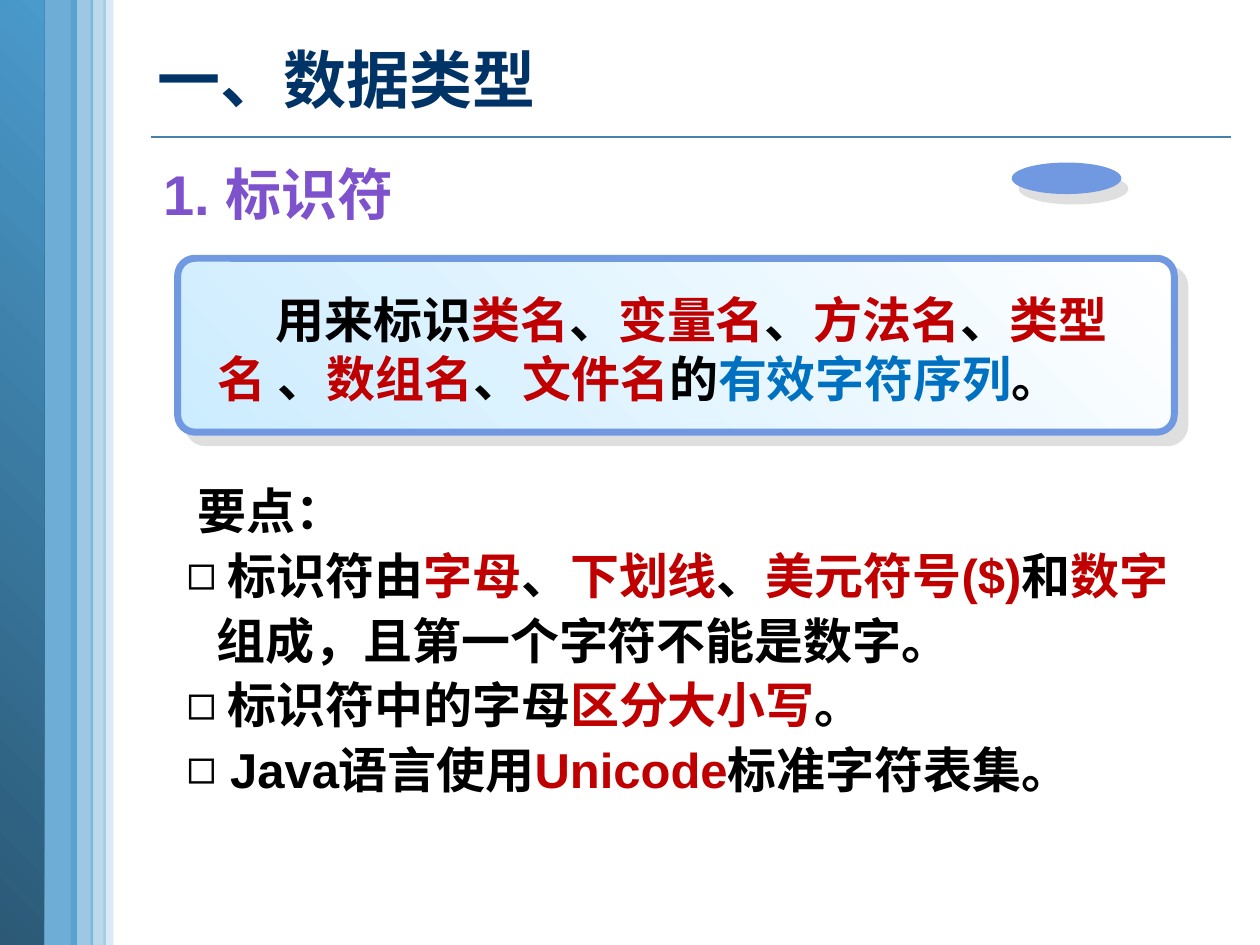
from dataclasses import dataclass
from typing import NamedTuple, Optional

import pptx
import pptx.util
import pptx.dml.color
import pptx.enum.shapes
import pptx.enum.text
import pptx.oxml.ns
from lxml import etree

COLS, ROWS = 100, 75
CELL = pptx.util.Inches(0.1)
SHAPES = pptx.enum.shapes.MSO_SHAPE


@dataclass(frozen=True)
class Theme:
    font: str = "Arial"
    title_size: int = 36
    heading_size: int = 32
    body_size: int = 28
    title: str = "003366"
    heading: str = "7E52CC"
    black: str = "000000"
    red: str = "C00000"
    blue: str = "0070C0"
    rule: str = "4582A7"
    band: str = "4A9ACC"
    band_dark: str = "2B5976"
    accent: str = "7099E2"
    pale: str = "CCECFF"
    white: str = "FFFFFF"
    shadow: str = "C0C0C0"


T = Theme()


class Area(NamedTuple):
    """Position and size in grid columns and rows."""
    col: float
    row: float
    cols: float
    rows: float

    def emu(self) -> list[int]:
        return [round(v * CELL) for v in self]


class Strip(NamedTuple):
    col: float
    cols: float
    alpha: Optional[int]  # None marks the gradient strip


class Shadow(NamedTuple):
    distance: float
    angle: int


class Run(NamedTuple):
    text: str
    color: str = T.black


class Para(NamedTuple):
    runs: list[Run]
    bullet: bool = False
    first_indent: float = 0


STRIPS = [Strip(3, 3.1, 80), Strip(-0.1, 3.6, None), Strip(8.2, 0.8, 20),
          Strip(5.6, 1.8, 54), Strip(7.2, 1.2, 37)]

COMMA = Run("、")
DEFINITION = [Para([
    Run("用来标识"), Run("类名", T.red), COMMA, Run("变量名", T.red), COMMA,
    Run("方法名", T.red), COMMA, Run("类型名 ", T.red), COMMA,
    Run("数组名", T.red), COMMA, Run("文件名", T.red), Run("的"),
    Run("有效字符序列", T.blue), Run("。")], first_indent=4.6)]
POINTS = [
    Para([Run(" 要点：")]),
    Para([Run(" 标识符由"), Run("字母", T.red), COMMA, Run("下划线", T.red), COMMA,
          Run("美元符号($)", T.red), Run("和"), Run("数字", T.red),
          Run("组成，且第一个字符不能是数字。")], bullet=True),
    Para([Run(" 标识符中的字母"), Run("区分大小写", T.red), Run("。")], bullet=True),
    Para([Run(" Java语言使用"), Run("Unicode", T.red), Run("标准字符表集。")], bullet=True),
]


def rgb(color: str) -> pptx.dml.color.RGBColor:
    return pptx.dml.color.RGBColor.from_string(color)


def sub(parent, tag: str, **attrs):
    attrs = {k: str(v) for k, v in attrs.items()}
    return etree.SubElement(parent, pptx.oxml.ns.qn(tag), attrs)


def add_shape(s, kind, area: Area, fill: str, to: Optional[str] = None,
              alpha: Optional[int] = None, line: Optional[str] = None,
              shadow: Optional[Shadow] = None):
    """Draw a preset shape; with `to`, fill runs from bottom left to top right."""
    sp = s.shapes.add_shape(kind, *area.emu())
    if to:
        sp.fill.gradient()
        sp.fill.gradient_angle = 45
        for stop, color in zip(sp.fill.gradient_stops, (fill, to)):
            stop.color.rgb = rgb(color)
    else:
        sp.fill.solid()
        sp.fill.fore_color.rgb = rgb(fill)
    if alpha is not None:
        solid = sp._element.spPr.find(pptx.oxml.ns.qn("a:solidFill"))
        sub(solid[0], "a:alpha", val=alpha * 1000)
    if line:
        sp.line.color.rgb = rgb(line)
        sp.line.width = pptx.util.Pt(4)
    else:
        sp.line.fill.background()
    sp.shadow.inherit = False
    if shadow:
        effects = sp._element.spPr.find(pptx.oxml.ns.qn("a:effectLst"))
        outer = sub(effects, "a:outerShdw", blurRad=0, algn="ctr", rotWithShape=0,
                    dist=pptx.util.Pt(shadow.distance), dir=shadow.angle * 60000)
        sub(sub(outer, "a:srgbClr", val=T.shadow), "a:alpha", val=50000)
    return sp


def add_text(s, area: Area, paras: list[Para], size: int = T.body_size,
             spacing: Optional[float] = None,
             anchor=pptx.enum.text.MSO_ANCHOR.TOP) -> None:
    tf = s.shapes.add_textbox(*area.emu()).text_frame
    tf.word_wrap = True
    tf.vertical_anchor = anchor
    for i, para in enumerate(paras):
        p = tf.paragraphs[0] if i == 0 else tf.add_paragraph()
        pPr = p._p.get_or_add_pPr()
        if spacing:
            p.line_spacing = spacing
        if para.bullet:
            hang = round(2.4 * CELL)
            pPr.set("marL", str(hang))
            pPr.set("indent", str(-hang))
            sub(pPr, "a:buFont", typeface=T.font)
            sub(pPr, "a:buChar", char="◻")
        elif para.first_indent:
            pPr.set("indent", str(round(para.first_indent * CELL)))
        for run in para.runs:
            r = p.add_run()
            r.text = run.text
            r.font.name = T.font
            r.font.size = pptx.util.Pt(size)
            r.font.bold = True
            r.font.color.rgb = rgb(run.color)


def add_rule(s, col: float, to_col: float, row: float) -> None:
    x1, x2, y = (round(v * CELL) for v in (col, to_col, row))
    line = s.shapes.add_connector(pptx.enum.shapes.MSO_CONNECTOR.STRAIGHT, x1, y, x2, y)
    line.line.color.rgb = rgb(T.rule)
    line.line.width = pptx.util.Pt(1)
    sub(line._element.spPr, "a:effectLst")


def main() -> None:
    prs = pptx.Presentation()
    prs.slide_width, prs.slide_height = COLS * CELL, ROWS * CELL
    s = prs.slides.add_slide(prs.slide_layouts[6])

    add_rule(s, 12, 97.7, 10.9)
    for strip in STRIPS:
        area = Area(strip.col, 0, strip.cols, ROWS)
        if strip.alpha is None:
            add_shape(s, SHAPES.RECTANGLE, area, T.band_dark, to=T.band)
        else:
            add_shape(s, SHAPES.RECTANGLE, area, T.band, alpha=strip.alpha)

    add_text(s, Area(13.8, 37.2, 80.9, 26.9), POINTS, spacing=1.1)
    add_text(s, Area(11.5, 0.7, 87, 11.1), [Para([Run("一、数据类型", T.title)])],
             size=T.title_size, anchor=pptx.enum.text.MSO_ANCHOR.MIDDLE)
    add_text(s, Area(12, 12.2, 66, 6.2), [Para([Run("1. 标识符", T.heading)])],
             size=T.heading_size)

    box = add_shape(s, SHAPES.ROUNDED_RECTANGLE, Area(14.1, 20.5, 79.1, 13.8), T.pale,
                    to=T.white, line=T.accent, shadow=Shadow(8.5, 45))
    box.adjustments[0] = 0.1
    add_shape(s, SHAPES.OVAL, Area(80.3, 12.9, 8.7, 2.5), T.accent, shadow=Shadow(7.2, 56))
    add_text(s, Area(16.3, 22.5, 74.4, 9.4), DEFINITION)

    prs.save("out.pptx")


if __name__ == "__main__":
    main()
